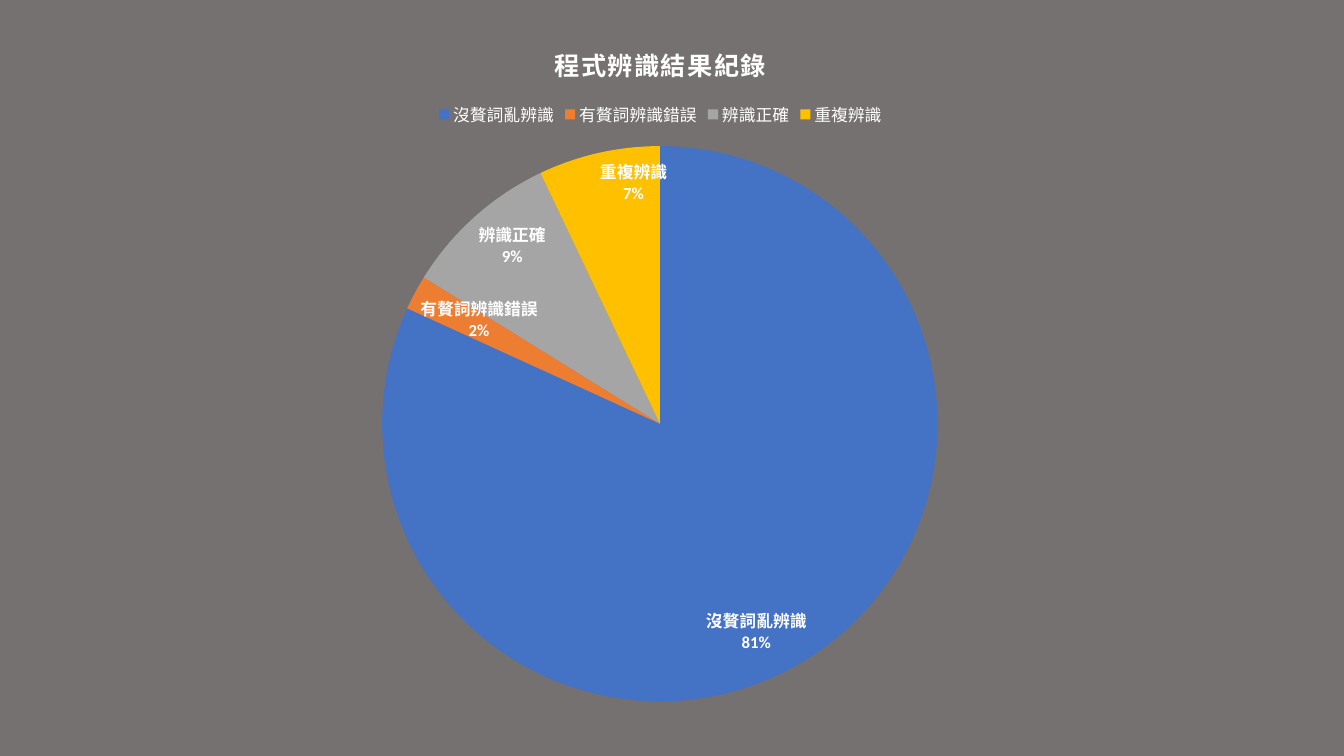
import dataclasses

import pptx
import pptx.chart.data
import pptx.dml.color
import pptx.enum.chart
import pptx.enum.shapes
import pptx.oxml
import pptx.oxml.ns
import pptx.util

Inches = pptx.util.Inches
SLIDE_SIZE = (13.33, 7.5)


@dataclasses.dataclass(frozen=True)
class Theme:
    font: str = "Calibri"
    background: str = "767171"
    text: str = "FFFFFF"
    slices: tuple = ("4472C4", "ED7D31", "A5A5A5", "FFC000")
    title_size: int = 18
    title_spacing: int = 100
    legend_size: int = 12
    label_size: int = 12


class SlideBuilder:
    def __init__(self, slide, theme):
        self.slide = slide
        self.theme = theme

    def apply(self, target, values):
        for name, value in values.items():
            setattr(target, name, value)

    def format_font(self, font, size, bold=False):
        self.apply(font, {"name": self.theme.font, "size": pptx.util.Pt(size), "bold": bold})
        font.color.rgb = pptx.dml.color.RGBColor.from_string(self.theme.text)

    def fill(self, target, color):
        target.fill.solid()
        target.fill.fore_color.rgb = pptx.dml.color.RGBColor.from_string(color)

    def add_background(self):
        width, height = map(Inches, SLIDE_SIZE)
        rectangle = self.slide.shapes.add_shape(
            pptx.enum.shapes.MSO_SHAPE.RECTANGLE, 0, 0, width, height)
        rectangle.shadow.inherit = False
        self.fill(rectangle, self.theme.background)
        rectangle.line.fill.background()

    def add_pie(self, title, shares, box, plot_box):
        data = pptx.chart.data.CategoryChartData(number_format='0"%"')
        data.categories = list(shares)
        data.add_series("Series 1", list(shares.values()))
        chart = self.slide.shapes.add_chart(
            pptx.enum.chart.XL_CHART_TYPE.PIE, *map(Inches, box), data).chart
        self.format_font(chart.font, self.theme.label_size)
        self.add_chart_title(chart, title)
        self.add_legend(chart)
        plot = chart.plots[0]
        plot.vary_by_categories = True
        for index, color in enumerate(self.theme.slices):
            point_format = plot.series[0].points[index].format
            self.fill(point_format, color)
            point_format.line.fill.background()
        self.add_labels(plot)
        self.place_plot(chart, box, plot_box)

    def add_chart_title(self, chart, title):
        chart.has_title = True
        chart.chart_title.include_in_layout = False
        paragraph = chart.chart_title.text_frame.paragraphs[0]
        run = paragraph.add_run()
        run.text = title
        self.format_font(run.font, self.theme.title_size, bold=True)
        run.font._element.set("spc", str(self.theme.title_spacing))

    def add_legend(self, chart):
        chart.has_legend = True
        self.apply(chart.legend, {
            "position": pptx.enum.chart.XL_LEGEND_POSITION.TOP,
            "include_in_layout": False,
        })
        self.format_font(chart.legend.font, self.theme.legend_size)

    def add_labels(self, plot):
        plot.has_data_labels = True
        labels = plot.data_labels
        self.apply(labels, {
            "show_category_name": True,
            "show_value": True,
            "show_percentage": False,
            "number_format": '0"%"',
            "number_format_is_linked": False,
            "position": pptx.enum.chart.XL_LABEL_POSITION.INSIDE_END,
        })
        self.format_font(labels.font, self.theme.label_size, bold=True)
        separator = pptx.oxml.parse_xml(
            f'<c:separator {pptx.oxml.ns.nsdecls("c")}>\n</c:separator>')
        bubble_size = labels._element.find(pptx.oxml.ns.qn("c:showBubbleSize"))
        bubble_size.addnext(separator)

    def place_plot(self, chart, box, plot_box):
        left, top, width, height = box
        plot_left, plot_top, plot_width, plot_height = plot_box
        fractions = {
            "x": (plot_left - left) / width,
            "y": (plot_top - top) / height,
            "w": plot_width / width,
            "h": plot_height / height,
        }
        modes = "".join(f'<c:{axis}Mode val="edge"/>' for axis in "xy")
        values = "".join(f'<c:{name} val="{value:.4f}"/>' for name, value in fractions.items())
        layout = pptx.oxml.parse_xml(
            f'<c:layout {pptx.oxml.ns.nsdecls("c")}><c:manualLayout>'
            f'<c:layoutTarget val="inner"/>{modes}{values}</c:manualLayout></c:layout>')
        plot_area = chart._chartSpace.chart.plotArea
        for old_layout in plot_area.findall(pptx.oxml.ns.qn("c:layout")):
            plot_area.remove(old_layout)
        plot_area.insert(0, layout)


presentation = pptx.Presentation()
presentation.slide_width, presentation.slide_height = map(Inches, SLIDE_SIZE)
slide = presentation.slides.add_slide(presentation.slide_layouts[6])
builder = SlideBuilder(slide, Theme())
builder.add_background()
builder.add_pie(
    "程式辨識結果紀錄",
    {"沒贅詞亂辨識": 81, "有贅詞辨識錯誤": 2, "辨識正確": 9, "重複辨識": 7},
    box=(1.8, 0.19, 9.5, 6.91),
    plot_box=(3.79, 1.45, 5.51, 5.51),
)
presentation.save("out.pptx")
